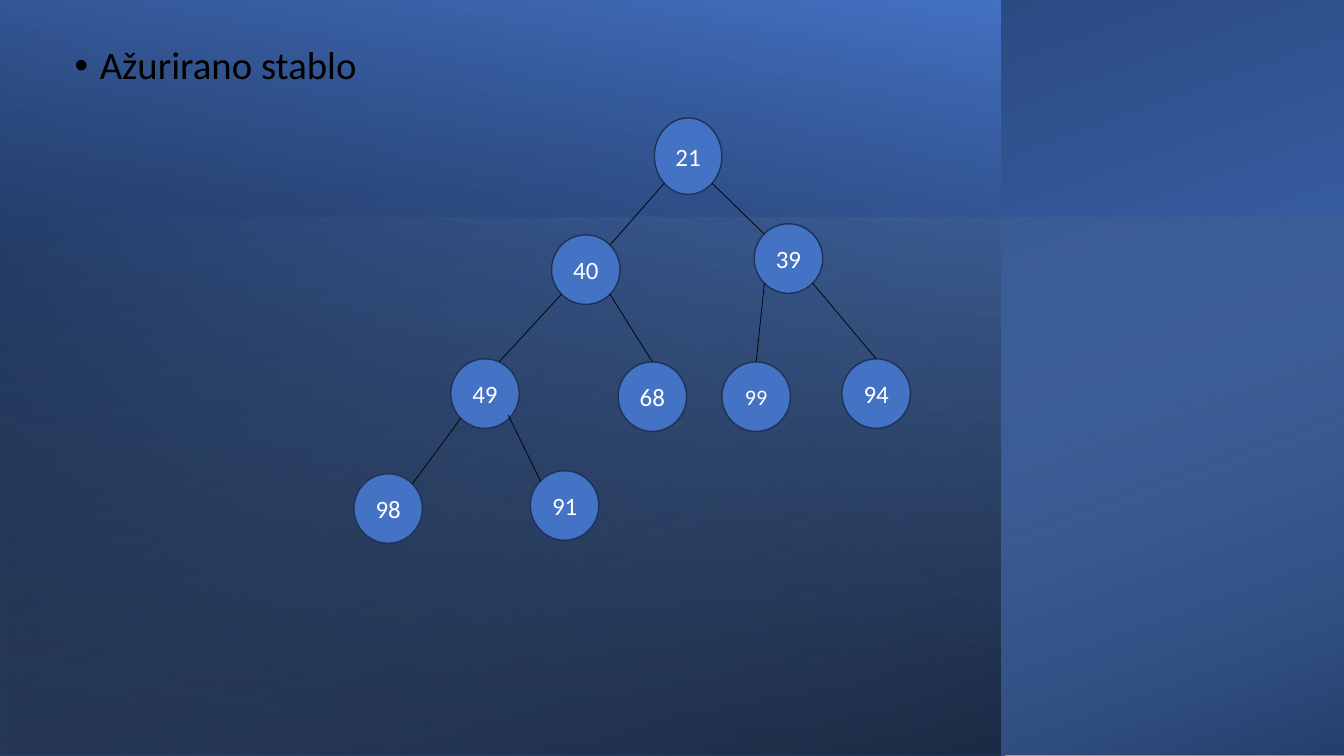
from dataclasses import dataclass
from typing import NamedTuple

from lxml.etree import SubElement
from pptx import Presentation
from pptx.dml.color import RGBColor
from pptx.enum.shapes import MSO_CONNECTOR, MSO_SHAPE
from pptx.enum.text import MSO_ANCHOR, MSO_AUTO_SIZE, PP_ALIGN
from pptx.oxml.ns import qn
from pptx.slide import Slide
from pptx.util import Inches, Pt


@dataclass(frozen=True)
class Theme:
    font: str = "Calibri"
    accent: str = "4472C4"
    navy: str = "203864"
    sky: str = "9DC3E6"
    outline: str = "1E3256"
    black: str = "000000"
    white: str = "FFFFFF"
    heading_size: float = 27.7
    key_size: float = 17.8
    small_key_size: float = 15.8


THEME = Theme()


class Stop(NamedTuple):
    position: float
    color: str
    opacity: int = 100


class Panel(NamedTuple):
    left: float
    top: float
    width: float
    height: float
    rotation: int
    angle: int  # clockwise, in degrees
    stops: tuple[Stop, Stop]


class Node(NamedTuple):
    key: int
    left: float
    top: float
    width: float = 0.68
    height: float = 0.69
    size: float = THEME.key_size


class Anchor(NamedTuple):
    """A point on a node, as fractions of its width and height."""
    x: float
    y: float


class Edge(NamedTuple):
    parent: int
    leaves: Anchor
    child: int
    enters: Anchor


TOP = Anchor(0.5, 0)
TOP_LEFT = Anchor(0.15, 0.15)
TOP_RIGHT = Anchor(0.85, 0.15)
BOTTOM_LEFT = Anchor(0.15, 0.85)
BOTTOM_RIGHT = Anchor(0.85, 0.85)

PANELS = [
    Panel(2.92, -2.92, 7.5, 13.33, 270, 200,
          (Stop(0.08, THEME.accent), Stop(1, THEME.navy))),
    Panel(0, 0, 9.92, 7.5, 180, 80,
          (Stop(0.08, THEME.black, 52), Stop(1, THEME.accent))),
    Panel(3.99, -1.84, 5.35, 13.34, 270, 20,
          (Stop(0, THEME.sky, 0), Stop(1, THEME.black, 46))),
]

NODES = [
    Node(21, 6.49, 1.17, 0.67, 0.76),
    Node(40, 5.47, 2.33),
    Node(39, 7.48, 2.22),
    Node(49, 4.47, 3.56),
    Node(68, 6.13, 3.59),
    Node(99, 7.16, 3.59, size=THEME.small_key_size),
    Node(94, 8.35, 3.56),
    Node(98, 3.51, 4.7),
    Node(91, 5.26, 4.67),
]

EDGES = [
    Edge(21, BOTTOM_LEFT, 40, TOP_RIGHT),
    Edge(21, BOTTOM_RIGHT, 39, TOP_LEFT),
    Edge(40, BOTTOM_LEFT, 49, Anchor(0.71, 0.04)),
    Edge(40, BOTTOM_RIGHT, 68, TOP),
    Edge(39, BOTTOM_LEFT, 99, TOP),
    Edge(39, BOTTOM_RIGHT, 94, TOP),
    Edge(49, BOTTOM_LEFT, 98, TOP_RIGHT),
    Edge(49, Anchor(0.84, 0.81), 91, TOP_LEFT),
]


def rgb(color: str) -> RGBColor:
    return RGBColor.from_string(color)


def add_panel(slide: Slide, panel: Panel) -> None:
    """Draw a mirrored gradient rectangle of the background."""
    box = map(Inches, panel[:4])
    backdrop = slide.shapes.add_shape(MSO_SHAPE.RECTANGLE, *box)
    backdrop.shadow.inherit = False
    backdrop.line.fill.background()
    backdrop.rotation = panel.rotation
    backdrop.element.spPr.find(qn("a:xfrm")).set("flipH", "1")
    backdrop.fill.gradient()
    backdrop.fill.gradient_angle = 360 - panel.angle
    for target, stop in zip(backdrop.fill.gradient_stops, panel.stops):
        target.position = stop.position
        target.color.rgb = rgb(stop.color)
    for color, stop in zip(backdrop.element.spPr.iter(qn("a:srgbClr")), panel.stops):
        if stop.opacity < 100:
            SubElement(color, qn("a:alpha")).set("val", str(stop.opacity * 1000))


def add_heading(slide: Slide, wording: str) -> None:
    """Put the bulleted heading in the body placeholder, above the background."""
    body = slide.placeholders[1]
    slide.shapes.element.append(body.element)
    body.left, body.top = Inches(0.64), Inches(0.41)
    body.width, body.height = Inches(11.59), Inches(6.5)
    frame = body.text_frame
    frame.text = wording
    frame.auto_size = MSO_AUTO_SIZE.NONE
    frame.vertical_anchor = MSO_ANCHOR.TOP
    heading = frame.paragraphs[0]
    heading.line_spacing = 0.9
    heading.space_before = Pt(9.9)
    properties = heading._p.get_or_add_pPr()
    properties.set("marL", str(Inches(0.25)))
    properties.set("indent", str(Inches(-0.25)))
    SubElement(properties, qn("a:buFont")).set("typeface", "Arial")
    SubElement(properties, qn("a:buChar")).set("char", "•")
    font = heading.runs[0].font
    font.name, font.size = THEME.font, Pt(THEME.heading_size)
    font.color.rgb = rgb(THEME.black)


def add_node(slide: Slide, node: Node) -> None:
    circle = slide.shapes.add_shape(MSO_SHAPE.OVAL, *map(Inches, node[1:5]))
    circle.shadow.inherit = False
    circle.fill.solid()
    circle.fill.fore_color.rgb = rgb(THEME.accent)
    circle.line.color.rgb = rgb(THEME.outline)
    circle.line.width = Pt(1)
    frame = circle.text_frame
    frame.text = str(node.key)
    frame.word_wrap = False
    frame.vertical_anchor = MSO_ANCHOR.MIDDLE
    label = frame.paragraphs[0]
    label.alignment = PP_ALIGN.CENTER
    label.space_after = Pt(5.9)
    font = label.runs[0].font
    font.name, font.size = THEME.font, Pt(node.size)
    font.color.rgb = rgb(THEME.white)


def locate(node: Node, anchor: Anchor) -> tuple[Inches, Inches]:
    return (Inches(node.left + anchor.x * node.width),
            Inches(node.top + anchor.y * node.height))


def add_edge(slide: Slide, edge: Edge, nodes: dict[int, Node]) -> None:
    start = locate(nodes[edge.parent], edge.leaves)
    end = locate(nodes[edge.child], edge.enters)
    branch = slide.shapes.add_connector(MSO_CONNECTOR.STRAIGHT, *start, *end)
    branch.line.color.rgb = rgb(THEME.black)
    branch.line.width = Pt(0.5)
    SubElement(branch._element.spPr, qn("a:effectLst"))


def main() -> None:
    deck = Presentation()
    deck.slide_width, deck.slide_height = Inches(13.33), Inches(7.5)
    slide = deck.slides.add_slide(deck.slide_layouts[1])
    title = slide.shapes.title.element
    title.getparent().remove(title)
    for panel in PANELS:
        add_panel(slide, panel)
    add_heading(slide, "Ažurirano stablo")
    nodes = {node.key: node for node in NODES}
    for node in NODES:
        add_node(slide, node)
    for edge in EDGES:
        add_edge(slide, edge, nodes)
    deck.save("out.pptx")


if __name__ == "__main__":
    main()
